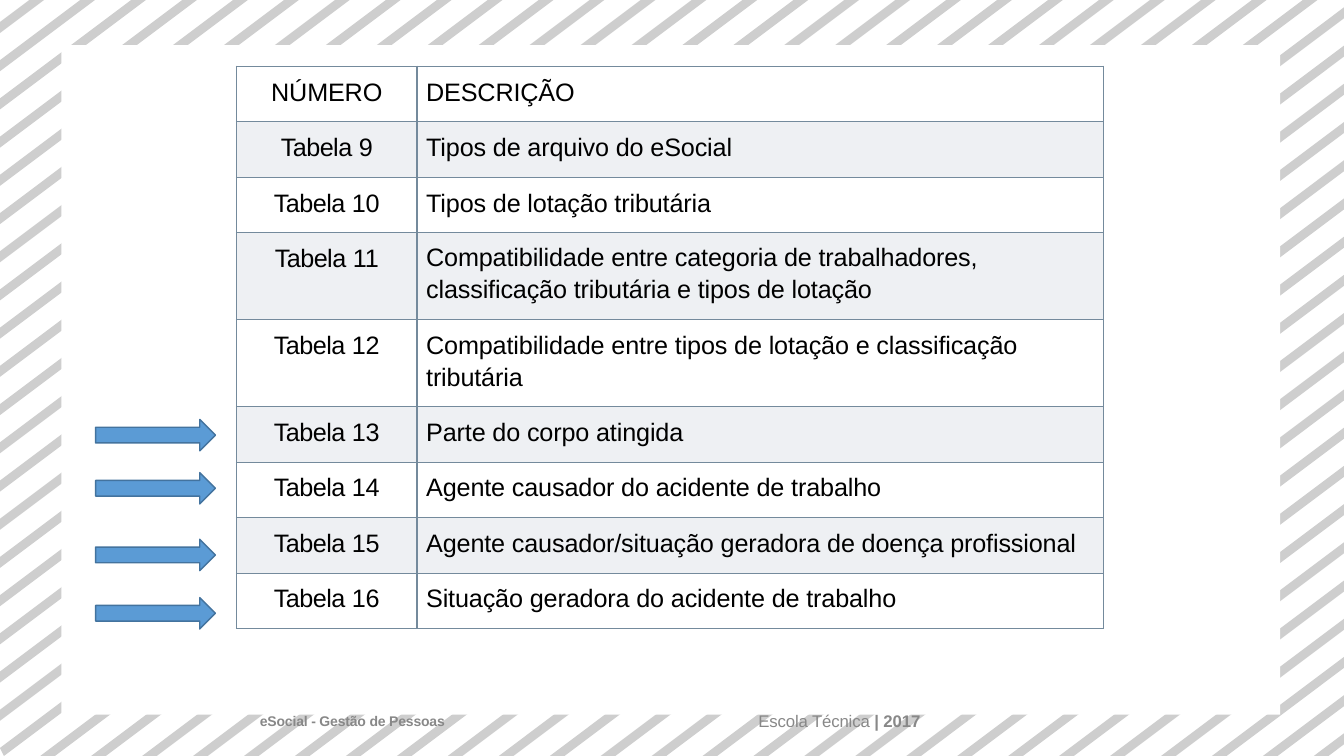
"""Build the slide listing eSocial tables 9 to 16 on a striped frame."""
import lxml.etree
import pptx
import pptx.dml.color
import pptx.enum.shapes
import pptx.enum.text
import pptx.oxml
import pptx.oxml.ns
import pptx.util

Cm = pptx.util.Cm
Pt = pptx.util.Pt
CENTER = pptx.enum.text.PP_ALIGN.CENTER
LEFT = pptx.enum.text.PP_ALIGN.LEFT


def colour(value):
    return pptx.dml.color.RGBColor.from_string(value)


def add_span(para, text, size, value, spacing=-10, bold=False):
    span = para.add_run()
    span.text = text
    span.font.name = "Arial"
    span.font.size = Pt(size)
    span.font.bold = bold
    span.font.color.rgb = colour(value)
    span.font._element.set("spc", str(spacing))


WIDTH, HEIGHT = 33.87, 19.05
deck = pptx.Presentation()
deck.slide_width = Cm(WIDTH)
deck.slide_height = Cm(HEIGHT)
page = deck.slides.add_slide(deck.slide_layouts[6])

STRIPES = 46
FIRST, LAST = 1.11, 58.88
STRIPE_WIDTH = 0.37
SLOPE = 0.75
for index in range(STRIPES):
    right = FIRST + index * (LAST - FIRST) / (STRIPES - 1)
    corners = []
    for edge in (right, right - STRIPE_WIDTH):
        upper = (min(edge, WIDTH), max(0, (edge - WIDTH) * SLOPE))
        lower = (max(0, edge - HEIGHT / SLOPE), min(edge * SLOPE, HEIGHT))
        corners.append((upper, lower))
    (right_top, right_foot), (left_top, left_foot) = corners
    outline = [(Cm(x), Cm(y)) for x, y in (right_top, left_top, left_foot, right_foot)]
    builder = page.shapes.build_freeform(*outline[0], scale=1.0)
    builder.add_line_segments(outline[1:], close=True)
    stripe = builder.convert_to_shape()
    stripe.shadow.inherit = False
    stripe.fill.solid()
    stripe.fill.fore_color.rgb = colour("CECECE")
    stripe.line.fill.background()

panel = page.shapes.add_shape(
    pptx.enum.shapes.MSO_SHAPE.RECTANGLE, Cm(1.55), Cm(1.14), Cm(30.71), Cm(16.87))
panel.shadow.inherit = False
panel.fill.solid()
panel.fill.fore_color.rgb = colour("FFFFFF")
panel.line.fill.background()

rows = [
    (["NÚMERO"], ["DESCRIÇÃO"]),
    (["Tabela ", "9"], ["Tipos de arquivo do eSocial"]),
    (["Tabela ", "10"], ["Tipos de lotação tributária"]),
    (["Tabela ", "11"], ["Compatibilidade entre categoria de trabalhadores, "
                         "classificação tributária e tipos de lotação"]),
    (["Tabela ", "12"], ["Compatibilidade entre tipos de lotação e classificação", "tributária"]),
    (["Tabela ", "13"], ["Parte do corpo atingida"]),
    (["Tabela ", "14"], ["Agente causador do acidente de trabalho"]),
    (["Tabela ", "15"], ["Agente causador/situação geradora de doença profissional"]),
    (["Tabela ", "16"], ["Situação geradora do acidente de trabalho"]),
]
TALL_ROWS = (3, 4)
table = page.shapes.add_table(len(rows), 2, Cm(5.96), Cm(1.67), Cm(21.85), Cm(14.18)).table
table.first_row = False
table.horz_banding = False
table.columns[0].width = Cm(4.55)
table.columns[1].width = Cm(17.3)
for row, (number, description) in enumerate(rows):
    table.rows[row].height = Cm(2.19 if row in TALL_ROWS else 1.4)
    for column in range(2):
        cell = table.cell(row, column)
        cell.margin_left = Cm(0.23 * column)
        cell.margin_right = cell.margin_bottom = Cm(0)
        cell.margin_top = Cm(0.3)
        properties = cell._tc.get_or_add_tcPr()
        for side in ("lnL", "lnR", "lnT", "lnB"):
            properties.append(pptx.oxml.parse_xml(
                f'<a:{side} {pptx.oxml.ns.nsdecls("a")} w="12700"><a:solidFill>'
                f'<a:srgbClr val="748A9C"/></a:solidFill></a:{side}>'))
        if row % 2:
            cell.fill.solid()
            cell.fill.fore_color.rgb = colour("ABB8C3")
            tint = properties.find(pptx.oxml.ns.qn("a:solidFill"))[0]
            lxml.etree.SubElement(tint, pptx.oxml.ns.qn("a:alpha")).set("val", "20000")
        else:
            cell.fill.background()

    para = table.cell(row, 0).text_frame.paragraphs[0]
    para.alignment = CENTER
    for text in number:
        add_span(para, text, 18, "000000", -40 if text == "Tabela " else -10)

    frame = table.cell(row, 1).text_frame
    for position, text in enumerate(description):
        para = frame.add_paragraph() if position else frame.paragraphs[0]
        if position:
            para.space_before = Pt(2.4)
        add_span(para, text, 18, "000000")

wrapped = table.cell(3, 1)
wrapped.margin_top = Cm(0.2)
wrapped.text_frame.paragraphs[0].line_spacing = 1.11

footers = [
    (15.44, 17.91, 11.43, 0.51, CENTER, 12,
     [("Escola Técnica ", False), ("| 2017", True)]),
    (6.55, 17.96, 7.62, 0.43, LEFT, 10, [("eSocial - Gestão de Pessoas", True)]),
]
for left, top, width, height, alignment, size, spans in footers:
    box = page.shapes.add_textbox(Cm(left), Cm(top), Cm(width), Cm(height))
    frame = box.text_frame
    frame.word_wrap = True
    frame.vertical_anchor = pptx.enum.text.MSO_ANCHOR.MIDDLE
    frame.margin_left = frame.margin_right = frame.margin_top = frame.margin_bottom = Cm(0)
    para = frame.paragraphs[0]
    para.alignment = alignment
    for text, bold in spans:
        add_span(para, text, size, "888888", bold=bold)

for top in (10.57, 11.91, 13.59, 15.06):
    arrow = page.shapes.add_shape(
        pptx.enum.shapes.MSO_SHAPE.RIGHT_ARROW, Cm(2.41), Cm(top), Cm(3.02), Cm(0.79))
    arrow.shadow.inherit = False
    arrow.fill.solid()
    arrow.fill.fore_color.rgb = colour("5B9BD5")
    arrow.line.color.rgb = colour("43739E")
    arrow.line.width = Pt(1)

deck.save("out.pptx")
